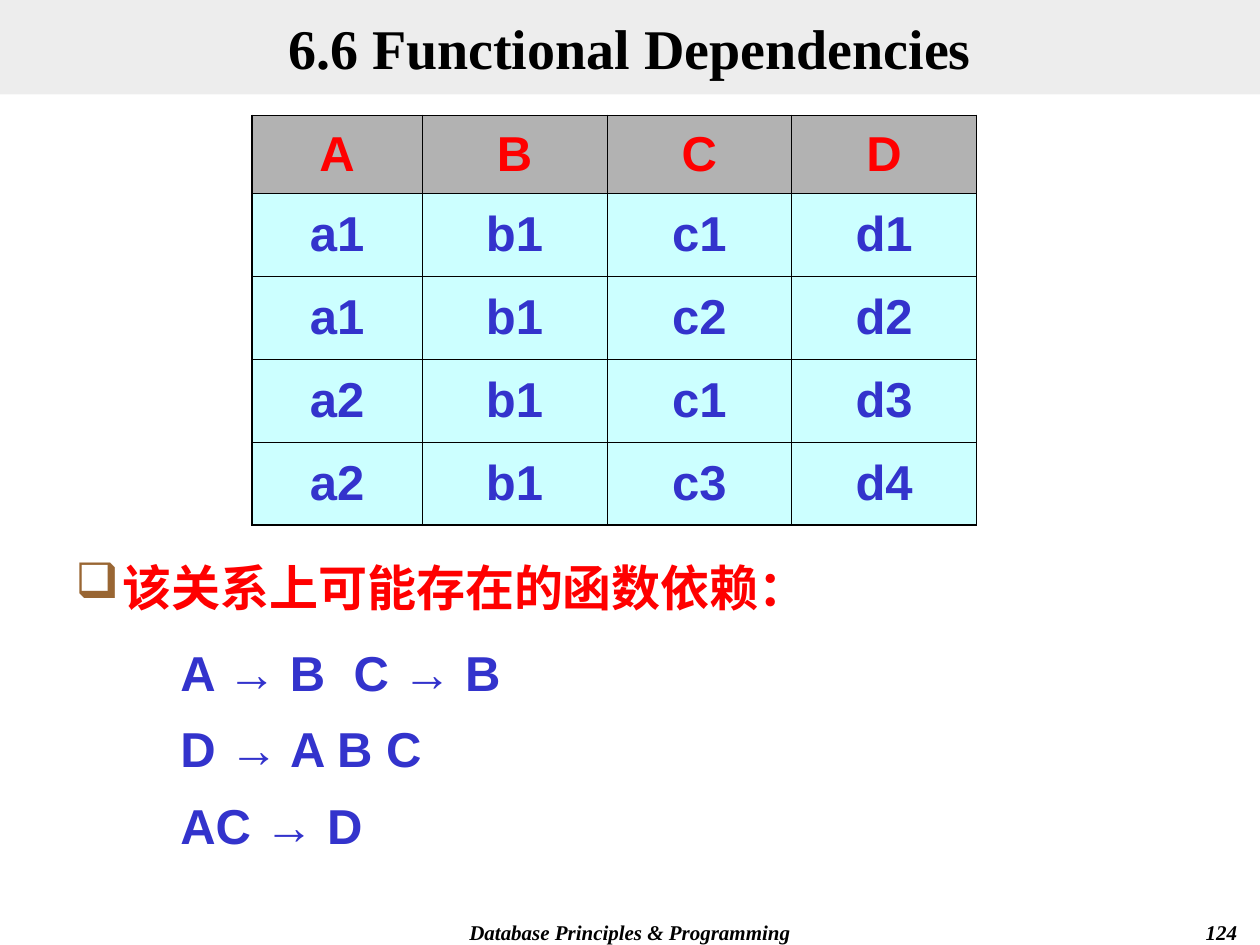
from typing import NamedTuple

from lxml import etree
from pptx import Presentation
from pptx.dml.color import RGBColor
from pptx.enum.shapes import MSO_SHAPE
from pptx.enum.text import MSO_ANCHOR, PP_ALIGN
from pptx.oxml.ns import qn
from pptx.util import Emu, Pt

LEFT, CENTER, RIGHT = PP_ALIGN.LEFT, PP_ALIGN.CENTER, PP_ALIGN.RIGHT
TOP, MIDDLE = MSO_ANCHOR.TOP, MSO_ANCHOR.MIDDLE
RECTANGLE = MSO_SHAPE.RECTANGLE

BLACK = RGBColor(0x00, 0x00, 0x00)
RED = RGBColor(0xFF, 0x00, 0x00)
BLUE = RGBColor(0x33, 0x33, 0xCC)
BROWN = RGBColor(0x99, 0x66, 0x33)
BANNER = RGBColor(0xDD, 0xDD, 0xDD)
HEADER = RGBColor(0xB2, 0xB2, 0xB2)
CYAN = RGBColor(0xCC, 0xFF, 0xFF)

SERIF, SANS = "Times New Roman", "Arial"
PX = 7620  # EMU in one px, 120 px to the inch
HANGING = 45
THIN, THICK = 0.45, 1.08


class Box(NamedTuple):
    left: int
    top: int
    width: int
    height: int

    def emu(self) -> list[Emu]:
        return [px(v) for v in self]


class Footer(NamedTuple):
    text: str
    box: Box
    align: PP_ALIGN


FOOTERS = [
    Footer("Database Principles & Programming", Box(340, 870, 520, 30), CENTER),
    Footer("124", Box(940, 870, 250, 30), RIGHT),
]
ROWS = [
    ["A", "B", "C", "D"],
    ["a1", "b1", "c1", "d1"],
    ["a1", "b1", "c2", "d2"],
    ["a2", "b1", "c1", "d3"],
    ["a2", "b1", "c3", "d4"],
]
COL_WIDTHS = [162, 176, 176, 176]
ROW_HEIGHTS = [74, 79, 79, 79, 79]
DEPENDENCIES = ["A → B\tC → B", "D → A B C", "AC → D"]


def px(value: int) -> Emu:
    return Emu(value * PX)


def add_child(parent, tag: str, **attrs):
    return etree.SubElement(parent, qn(tag), **{k: str(v) for k, v in attrs.items()})


def write(tf, *lines: str, size=28, font=SANS, color=BLACK, italic=False, align=LEFT,
          anchor=TOP, hanging=0, bullet=None, tab=None, before=0, spacing=None) -> None:
    tf.word_wrap = True
    tf.vertical_anchor = anchor
    for i, line in enumerate(lines):
        p = tf.add_paragraph() if i else tf.paragraphs[0]
        ppr = p._p.get_or_add_pPr()
        if hanging:
            ppr.set("marL", str(px(hanging)))
            ppr.set("indent", str(-px(hanging)))
        if bullet:
            add_child(add_child(ppr, "a:buClr"), "a:srgbClr", val=BROWN)
            add_child(ppr, "a:buChar", char=bullet)
        if tab:
            add_child(add_child(ppr, "a:tabLst"), "a:tab", pos=px(tab), algn="l")
        p.alignment = align
        p.space_before = Pt(before if i else 0)
        if spacing:
            p.line_spacing = spacing
        r = p.add_run()
        r.text = line
        r.font.size, r.font.name = Pt(size), font
        r.font.bold, r.font.italic = True, italic
        r.font.color.rgb = color


def add_text(slide, box: Box, *lines: str, **fmt) -> None:
    write(slide.shapes.add_textbox(*box.emu()).text_frame, *lines, **fmt)


def add_title(slide, box: Box, text: str) -> None:
    s = slide.shapes.add_shape(RECTANGLE, *box.emu())
    s.shadow.inherit = False
    s.fill.solid()
    s.fill.fore_color.rgb = BANNER
    color = s.fill._xPr.find(qn("a:solidFill")).find(qn("a:srgbClr"))
    add_child(color, "a:alpha", val=50000)
    s.line.fill.background()
    tf = s.text_frame
    tf.margin_top = tf.margin_bottom = 0
    write(tf, text, size=32, font=SERIF, align=CENTER, anchor=MIDDLE)


def set_borders(cell, **widths: float) -> None:
    tcpr = cell._tc.get_or_add_tcPr()
    for side, width in widths.items():
        ln = add_child(tcpr, f"a:ln{side}", w=Pt(width))
        add_child(add_child(ln, "a:solidFill"), "a:srgbClr", val=BLACK)


def add_relation(slide, left: int, top: int) -> None:
    box = Box(left, top, sum(COL_WIDTHS), sum(ROW_HEIGHTS))
    table = slide.shapes.add_table(len(ROWS), len(COL_WIDTHS), *box.emu()).table
    table.first_row = table.horz_banding = False
    for col, width in zip(table.columns, COL_WIDTHS):
        col.width = px(width)
    last_row, last_col = len(ROWS) - 1, len(COL_WIDTHS) - 1
    for i, values in enumerate(ROWS):
        table.rows[i].height = px(ROW_HEIGHTS[i])
        for j, value in enumerate(values):
            cell = table.cell(i, j)
            set_borders(cell,
                        L=THIN if j else THICK,
                        R=THICK if j == last_col else THIN,
                        T=THIN if i else THICK,
                        B=THICK if i == last_row else THIN)
            cell.fill.solid()
            cell.fill.fore_color.rgb = CYAN if i else HEADER
            cell.vertical_anchor = MIDDLE
            write(cell.text_frame, value, color=BLUE if i else RED, align=CENTER, anchor=None)


def main() -> None:
    prs = Presentation()
    prs.slide_width, prs.slide_height = px(1200), px(900)
    slide = prs.slides.add_slide(prs.slide_layouts[6])

    # Footer and title banner
    for footer in FOOTERS:
        add_text(slide, footer.box, footer.text, size=12, font=SERIF, italic=True,
                 align=footer.align)
    add_title(slide, Box(0, 0, 1200, 90), "6.6 Functional Dependencies")

    # Question, sample relation and its dependencies
    add_text(slide, Box(60, 525, 1080, 82), "该关系上可能存在的函数依赖：",
             color=RED, hanging=HANGING, bullet="❑")
    add_relation(slide, 240, 110)
    add_text(slide, Box(160, 600, 910, 220), *DEPENDENCIES, color=BLUE,
             hanging=HANGING, tab=240, before=7, spacing=1.1)

    prs.save("out.pptx")


if __name__ == "__main__":
    main()
